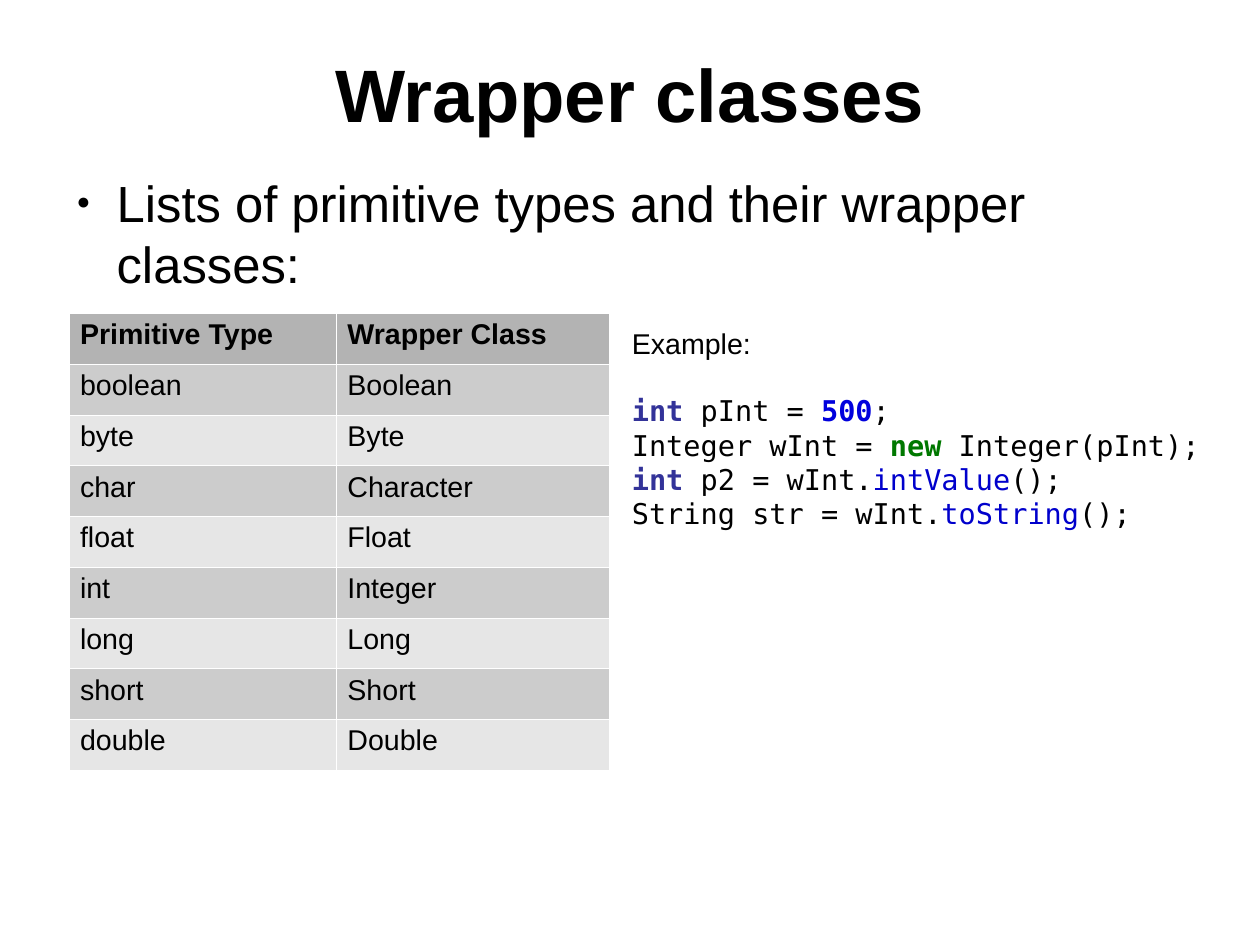
from lxml import etree
from pptx import Presentation
from pptx.dml.color import RGBColor
from pptx.enum.text import MSO_ANCHOR, MSO_AUTO_SIZE, PP_ALIGN
from pptx.oxml.ns import qn
from pptx.util import Inches, Pt

CM_PER_INCH = 2.54
PAGE_WIDTH = 28 / CM_PER_INCH
PAGE_HEIGHT = 21 / CM_PER_INCH

BLACK = RGBColor(0x00, 0x00, 0x00)
WHITE = RGBColor(0xFF, 0xFF, 0xFF)
HEADER_GRAY = RGBColor(0xB3, 0xB3, 0xB3)
BAND_GRAYS = (RGBColor(0xCC, 0xCC, 0xCC), RGBColor(0xE6, 0xE6, 0xE6))
TYPE_BLUE = RGBColor(0x33, 0x33, 0x99)
NUMBER_BLUE = RGBColor(0x00, 0x00, 0xDD)
KEYWORD_GREEN = RGBColor(0x00, 0x78, 0x00)
METHOD_BLUE = RGBColor(0x00, 0x00, 0xCC)

TYPE_ROWS = [
    ("Primitive Type", "Wrapper Class"),
    ("boolean", "Boolean"),
    ("byte", "Byte"),
    ("char", "Character"),
    ("float", "Float"),
    ("int", "Integer"),
    ("long", "Long"),
    ("short", "Short"),
    ("double", "Double"),
]

TYPE = {"color": TYPE_BLUE, "bold": True}
NUMBER = {"color": NUMBER_BLUE, "bold": True}
KEYWORD = {"color": KEYWORD_GREEN, "bold": True}
METHOD = {"color": METHOD_BLUE}
PLAIN = {}
CODE_LINES = [
    [("int", TYPE), (" pInt = ", PLAIN), ("500", NUMBER), (";", PLAIN)],
    [("Integer wInt = ", PLAIN), ("new", KEYWORD), (" Integer(pInt);", PLAIN)],
    [("int", TYPE), (" p2 = wInt.", PLAIN), ("intValue", METHOD), ("();", PLAIN)],
    [("String str = wInt.", PLAIN), ("toString", METHOD), ("();", PLAIN)],
]


def add_text(paragraph, text, size=18, font="Arial", color=BLACK, bold=False):
    run = paragraph.add_run()
    run.text = text
    run.font.size = Pt(size)
    run.font.name = font
    run.font.color.rgb = color
    run.font.bold = bold


def add_bullet(paragraph, character, percent, margin, indent):
    properties = paragraph._p.get_or_add_pPr()
    properties.set("marL", str(margin))
    properties.set("indent", str(indent))
    bullet_color = etree.SubElement(properties, qn("a:buClr"))
    etree.SubElement(bullet_color, qn("a:srgbClr"), val=str(BLACK))
    etree.SubElement(properties, qn("a:buSzPct"), val=str(percent * 1000))
    etree.SubElement(properties, qn("a:buFont"), typeface="Arial")
    etree.SubElement(properties, qn("a:buChar"), char=character)


def set_borders(cell, color, width):
    properties = cell._tc.get_or_add_tcPr()
    for side in ("lnL", "lnR", "lnT", "lnB"):
        line = etree.SubElement(properties, qn(f"a:{side}"), w=str(width))
        fill = etree.SubElement(line, qn("a:solidFill"))
        etree.SubElement(fill, qn("a:srgbClr"), val=str(color))


class SlideBuilder:
    code_font = "DejaVu Sans Mono"
    space_after = Pt(14.2)

    def __init__(self, presentation):
        self.slide = presentation.slides.add_slide(presentation.slide_layouts[1])

    def place(self, shape, left, top, width, height, anchor):
        """Move a placeholder and clear its insets; return its first paragraph."""
        shape.left, shape.top = Inches(left), Inches(top)
        shape.width, shape.height = Inches(width), Inches(height)
        frame = shape.text_frame
        frame.margin_left = frame.margin_right = 0
        frame.margin_top = frame.margin_bottom = 0
        frame.vertical_anchor = anchor
        frame.auto_size = MSO_AUTO_SIZE.NONE
        paragraph = frame.paragraphs[0]
        paragraph.space_before = Pt(0)
        return paragraph

    def title(self, text):
        paragraph = self.place(self.slide.shapes.title, 0.55, 0.33, 9.92, 0.97,
                               MSO_ANCHOR.MIDDLE)
        paragraph.alignment = PP_ALIGN.CENTER
        add_text(paragraph, text, size=46.8, bold=True)

    def body(self, text):
        paragraph = self.place(self.slide.placeholders[1], 0.55, 1.5, 10, 1.57,
                               MSO_ANCHOR.TOP)
        paragraph.space_after = self.space_after
        add_bullet(paragraph, "●", 45, Inches(0.47), Inches(-0.35))
        add_text(paragraph, text, size=32)

    def table(self, rows, left, top, column_widths, height):
        table = self.slide.shapes.add_table(
            len(rows), len(column_widths), Inches(left), Inches(top),
            Inches(sum(column_widths)), Inches(height)).table
        for column, width in zip(table.columns, column_widths):
            column.width = Inches(width)
        for row_index, texts in enumerate(rows):
            is_header = row_index == 0
            fill = HEADER_GRAY if is_header else BAND_GRAYS[(row_index - 1) % 2]
            for column_index, text in enumerate(texts):
                cell = table.cell(row_index, column_index)
                set_borders(cell, WHITE, Pt(0.06))
                cell.fill.solid()
                cell.fill.fore_color.rgb = fill
                add_text(cell.text_frame.paragraphs[0], text, bold=is_header)

    def code_example(self, heading, lines, left, top, width, height):
        box = self.slide.shapes.add_textbox(
            Inches(left), Inches(top), Inches(width), Inches(height))
        frame = box.text_frame
        frame.word_wrap = True
        heading_paragraph = frame.paragraphs[0]
        heading_paragraph.space_after = Pt(21)
        add_text(heading_paragraph, heading)
        code = frame.add_paragraph()
        code.space_after = self.space_after
        for index, line in enumerate(lines):
            if index:
                code.add_line_break()
            for text, style in line:
                add_text(code, text, font=self.code_font, **style)


def main():
    presentation = Presentation()
    presentation.slide_width = Inches(PAGE_WIDTH)
    presentation.slide_height = Inches(PAGE_HEIGHT)
    builder = SlideBuilder(presentation)
    builder.title("Wrapper classes")
    builder.body("Lists of primitive types and their wrapper classes:")
    builder.table(TYPE_ROWS, 0.6, 2.74, (2.34, 2.39), 4)
    builder.code_example("Example:", CODE_LINES, 5.43, 2.8, 5.43, 3.78)
    presentation.save("out.pptx")


if __name__ == "__main__":
    main()
